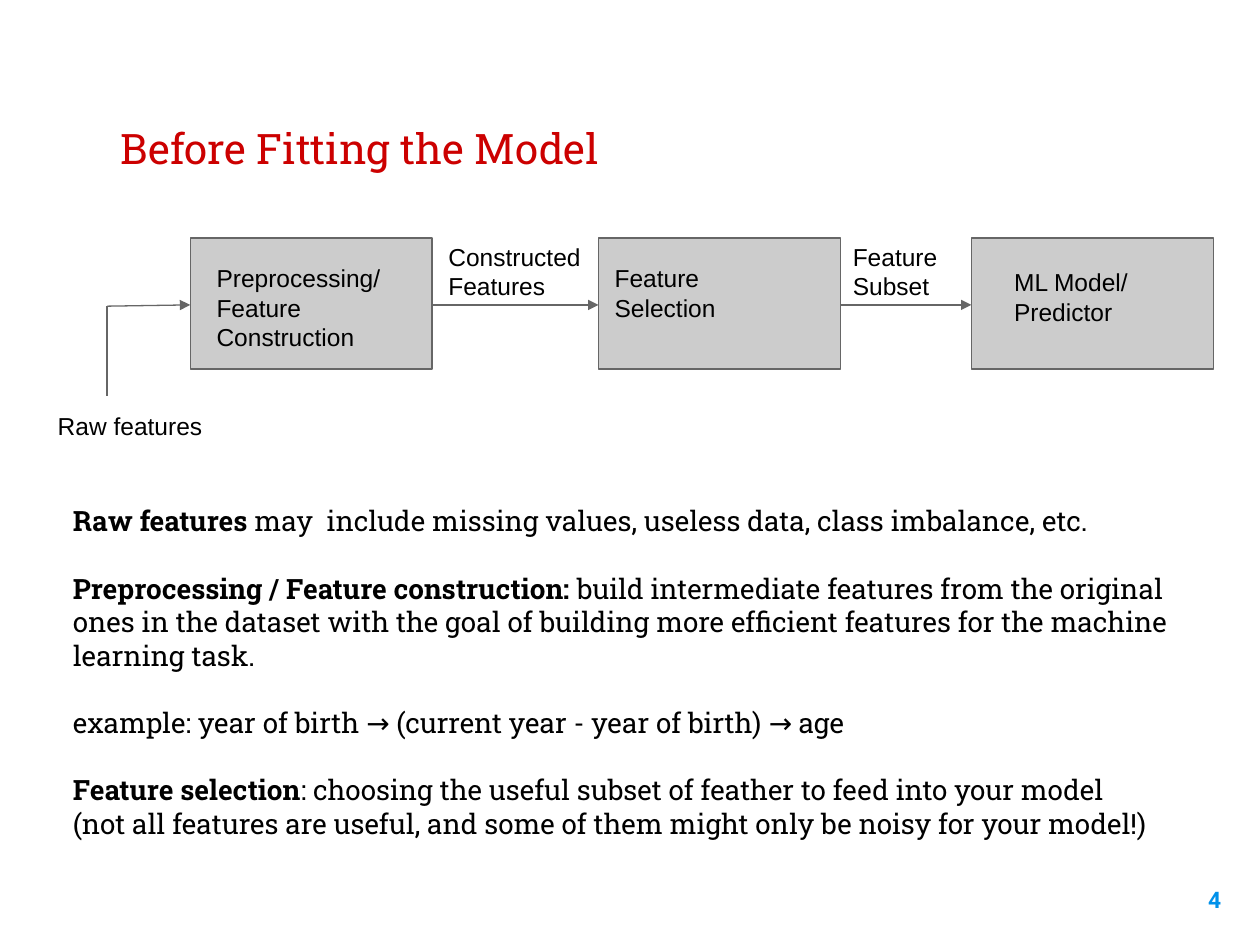
from pptx import Presentation, util as u
from pptx.dml.color import RGBColor
from pptx.enum import shapes, text
from pptx.oxml.ns import qn
from lxml import etree

WIDTH, HEIGHT = 10, 7.5
STAGE_LEFTS = (1.51, 4.75, 7.71)
STAGE_TOP, STAGE_WIDTH, STAGE_HEIGHT = 1.89, 1.92, 1.04
FLOW_Y = 2.42
RAW_X = 0.85
GREY, BLACK = "666666", "000000"

LABELS = [
    ((1.62, 1.99, 1.52, 0.86), ["Preprocessing/", "Feature Construction"]),
    ((4.78, 1.99, 1.7, 0.86), ["Feature Selection"]),
    ((6.67, 1.82, 0.9, 1.02), ["Feature", "Subset"]),
    ((3.46, 1.82, 1.32, 0.75), ["Constructed Features"]),
    ((0.36, 3.16, 1.41, 0.57), ["Raw features"]),
    ((7.95, 2.02, 1.41, 0.75), ["ML Model/", "Predictor"]),
]

EXPLANATION = [
    ("Raw features ",
     "may  include missing values, useless data, class imbalance, etc.", 0),
    ("Preprocessing / Feature construction: ",
     "build intermediate features from the original ones in the dataset with "
     "the goal of building more efficient features for the machine learning task.", 1),
    ("", "example: year of birth → (current year - year of birth) → age", 1),
    ("Feature selection",
     ": choosing the useful subset of feather to feed into your model", 1),
    ("", "(not all features are useful, and some of them might only be noisy "
     "for your model!)", 0),
]


def color(hex_code):
    return RGBColor.from_string(hex_code)


def place(box):
    return [u.Inches(length) for length in box]


def add_run(paragraph, words, size, font, hex_code, bold=False):
    run = paragraph.add_run()
    run.text = words
    run.font.size = u.Pt(size)
    run.font.name = font
    run.font.bold = bold
    run.font.color.rgb = color(hex_code)


def set_frame(frame, anchor=text.MSO_ANCHOR.TOP):
    frame.word_wrap = True
    frame.auto_size = text.MSO_AUTO_SIZE.NONE
    frame.vertical_anchor = anchor
    frame.margin_left = frame.margin_right = u.Inches(0.1)
    frame.margin_top = frame.margin_bottom = u.Inches(0.1)


def add_frame(slide, box):
    frame = slide.shapes.add_textbox(*place(box)).text_frame
    set_frame(frame)
    return frame


def paragraphs(frame, count):
    return [frame.paragraphs[0]] + [frame.add_paragraph() for _ in range(count - 1)]


def add_title(slide, words):
    title = slide.shapes.title
    title.left, title.top, title.width, title.height = place((0.86, 0.72, 8.28, 0.75))
    set_frame(title.text_frame, text.MSO_ANCHOR.BOTTOM)
    heading = title.text_frame.paragraphs[0]
    heading.alignment = text.PP_ALIGN.LEFT
    add_run(heading, words, 24, "Roboto Slab", "CC0000")


def add_stage(slide, left):
    stage = slide.shapes.add_shape(
        shapes.MSO_SHAPE.RECTANGLE,
        *place((left, STAGE_TOP, STAGE_WIDTH, STAGE_HEIGHT)))
    stage.shadow.inherit = False
    stage.fill.solid()
    stage.fill.fore_color.rgb = color("CCCCCC")
    stage.line.color.rgb = color(GREY)
    stage.line.width = u.Pt(0.75)


def add_flow(slide, start, end, arrow=True):
    flow = slide.shapes.add_connector(
        shapes.MSO_CONNECTOR.STRAIGHT, *place(start + end))
    flow.line.color.rgb = color(GREY)
    flow.line.width = u.Pt(0.75)
    if arrow:
        etree.SubElement(flow.line._get_or_add_ln(), qn("a:tailEnd"), type="triangle")
    etree.SubElement(flow._element.spPr, qn("a:effectLst"))


def add_label(slide, box, lines):
    frame = add_frame(slide, box)
    for paragraph, line in zip(paragraphs(frame, len(lines)), lines):
        add_run(paragraph, line, 14, "Arial", BLACK)


def add_explanation(slide):
    frame = add_frame(slide, (0.48, 3.9, 9.05, 3.18))
    rows = zip(paragraphs(frame, len(EXPLANATION)), EXPLANATION)
    for paragraph, (term, meaning, gap_lines) in rows:
        paragraph.space_before = u.Pt(19.2 * gap_lines)
        if term:
            add_run(paragraph, term, 16, "Roboto Slab", BLACK, bold=True)
        add_run(paragraph, meaning, 16, "Roboto Slab", BLACK)


def add_page_number(slide, number):
    paragraph = add_frame(slide, (9.19, 6.93, 0.6, 0.57)).paragraphs[0]
    paragraph.alignment = text.PP_ALIGN.RIGHT
    add_run(paragraph, number, 13, "Roboto", "0091EA", bold=True)


def main():
    deck = Presentation()
    deck.slide_width, deck.slide_height = place((WIDTH, HEIGHT))
    slide = deck.slides.add_slide(deck.slide_layouts[5])
    add_title(slide, "Before Fitting the Model")
    add_page_number(slide, "4")
    for left in STAGE_LEFTS:
        add_stage(slide, left)
    for left, following in zip(STAGE_LEFTS, STAGE_LEFTS[1:]):
        add_flow(slide, (left + STAGE_WIDTH, FLOW_Y), (following, FLOW_Y))
    raw_corner = (RAW_X, FLOW_Y + 0.01)
    add_flow(slide, raw_corner, (STAGE_LEFTS[0], FLOW_Y))
    add_flow(slide, raw_corner, (RAW_X, 3.14), arrow=False)
    for box, lines in LABELS:
        add_label(slide, box, lines)
    add_explanation(slide)
    deck.save("out.pptx")


if __name__ == "__main__":
    main()
